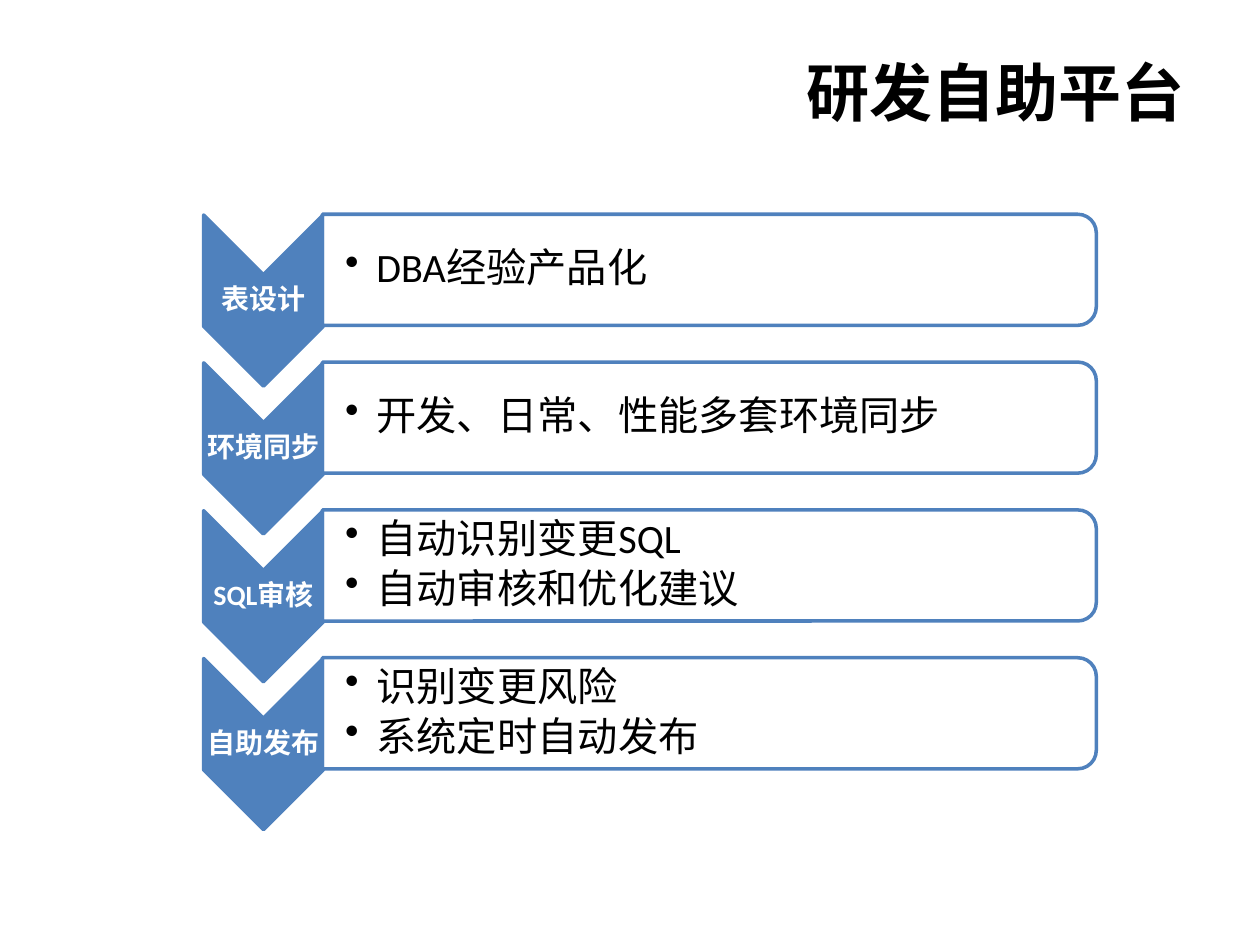
from lxml import etree
from pptx import Presentation
from pptx.dml.color import RGBColor
from pptx.enum.shapes import MSO_SHAPE
from pptx.enum.text import MSO_ANCHOR, PP_ALIGN
from pptx.oxml.ns import qn
from pptx.util import Cm, Pt

CHEVRON = MSO_SHAPE.CHEVRON
ROUNDED_END = MSO_SHAPE.ROUND_2_SAME_RECTANGLE
MIDDLE = MSO_ANCHOR.MIDDLE
CENTER, LEFT, RIGHT = PP_ALIGN.CENTER, PP_ALIGN.LEFT, PP_ALIGN.RIGHT

STAGES = [
    ("表设计", ["DBA经验产品化"]),
    ("环境同步", ["开发、日常、性能多套环境同步"]),
    ("SQL审核", ["自动识别变更SQL", "自动审核和优化建议"]),
    ("自助发布", ["识别变更风险", "系统定时自动发布"]),
]
FIRST_CHEVRON_Y = 6.06
FIRST_PANEL_Y = 5.44
ROW_PITCH = 2.98


def color(hex_string):
    return RGBColor.from_string(hex_string)


def place(center_x, center_y, width, height):
    """Return left, top, width and height for a box around a centre in cm."""
    return (Cm(center_x - width / 2), Cm(center_y - height / 2),
            Cm(width), Cm(height))


def add_bullet(paragraph, indent):
    properties = paragraph._p.get_or_add_pPr()
    properties.set("marL", str(Cm(indent)))
    properties.set("indent", str(-Cm(indent)))
    etree.SubElement(properties, qn("a:buChar")).set("char", "•")


def write(frame, lines, *, size, font, ink, bold=False, align=LEFT,
          spacing=None, after=None, bullet_indent=None):
    for index, line in enumerate(lines):
        paragraph = frame.paragraphs[0] if index == 0 else frame.add_paragraph()
        if bullet_indent:
            add_bullet(paragraph, bullet_indent)
            paragraph.level = 1
        paragraph.alignment = align
        if spacing:
            paragraph.line_spacing = spacing
        if after is not None:
            paragraph.space_after = Pt(after)
        run = paragraph.add_run()
        run.text = line
        run.font.size = Pt(size)
        run.font.bold = bold
        run.font.color.rgb = color(ink)
        run.font.name = font
        east_asian = etree.SubElement(run.font._element, qn("a:ea"))
        east_asian.set("typeface", font)


class SlideBuilder:
    accent = "4F81BD"
    white = "FFFFFF"
    black = "000000"
    title_font = "Noto Sans CJK SC"
    text_font = "Calibri"

    def __init__(self, slide):
        self.slide = slide

    def title(self, text):
        heading = self.slide.shapes.title
        heading.left, heading.top = Cm(10.9), Cm(0.76)
        heading.width, heading.height = Cm(13.23), Cm(2.16)
        heading.text_frame.vertical_anchor = MIDDLE
        write(heading.text_frame, [text], size=36, font=self.title_font,
              ink=self.black, bold=True, align=RIGHT)

    def turned_shape(self, group, preset, box, fill, opacity=None):
        """Add a preset shape rotated by a quarter turn."""
        shape = group.shapes.add_shape(preset, *box)
        shape.rotation = 90
        shape.shadow.inherit = False
        shape.fill.solid()
        shape.fill.fore_color.rgb = color(fill)
        if opacity:
            fill_color = shape._element.spPr.find(qn("a:solidFill"))[0]
            etree.SubElement(fill_color, qn("a:alpha")).set(
                "val", str(opacity * 1000))
        shape.line.color.rgb = color(self.accent)
        shape.line.width = Pt(2)

    def text(self, group, box, lines, left_inset, inset, **text_format):
        frame = group.shapes.add_textbox(*box).text_frame
        frame.word_wrap = True
        frame.vertical_anchor = MIDDLE
        frame.margin_left = Cm(left_inset)
        frame.margin_right = frame.margin_top = frame.margin_bottom = Cm(inset)
        write(frame, lines, font=self.text_font, spacing=0.9, **text_format)

    def stage(self, label, details, offset):
        group = self.slide.shapes.add_group_shape()
        chevron_y = FIRST_CHEVRON_Y + offset
        panel_y = FIRST_PANEL_Y + offset
        self.turned_shape(group, CHEVRON, place(5.31, chevron_y, 3.45, 2.41),
                          self.accent)
        self.text(group, place(5.31, chevron_y, 2.41, 1.04), [label],
                  0.03, 0.03, size=16, ink=self.white, bold=True,
                  align=CENTER, after=5.6)
        self.turned_shape(group, ROUNDED_END,
                          place(14.3, panel_y, 2.24, 15.6), self.white, 90)
        self.text(group, place(14.26, panel_y, 15.52, 2.03), details,
                  0.46, 0.05, size=23, ink=self.black, after=3.45,
                  bullet_indent=0.63)


def main():
    presentation = Presentation()
    presentation.slide_width, presentation.slide_height = Cm(25.4), Cm(19.05)
    title_only = presentation.slide_layouts[5]
    builder = SlideBuilder(presentation.slides.add_slide(title_only))
    builder.title("研发自助平台")
    for row, (label, details) in enumerate(STAGES):
        builder.stage(label, details, row * ROW_PITCH)
    presentation.save("out.pptx")


if __name__ == "__main__":
    main()
